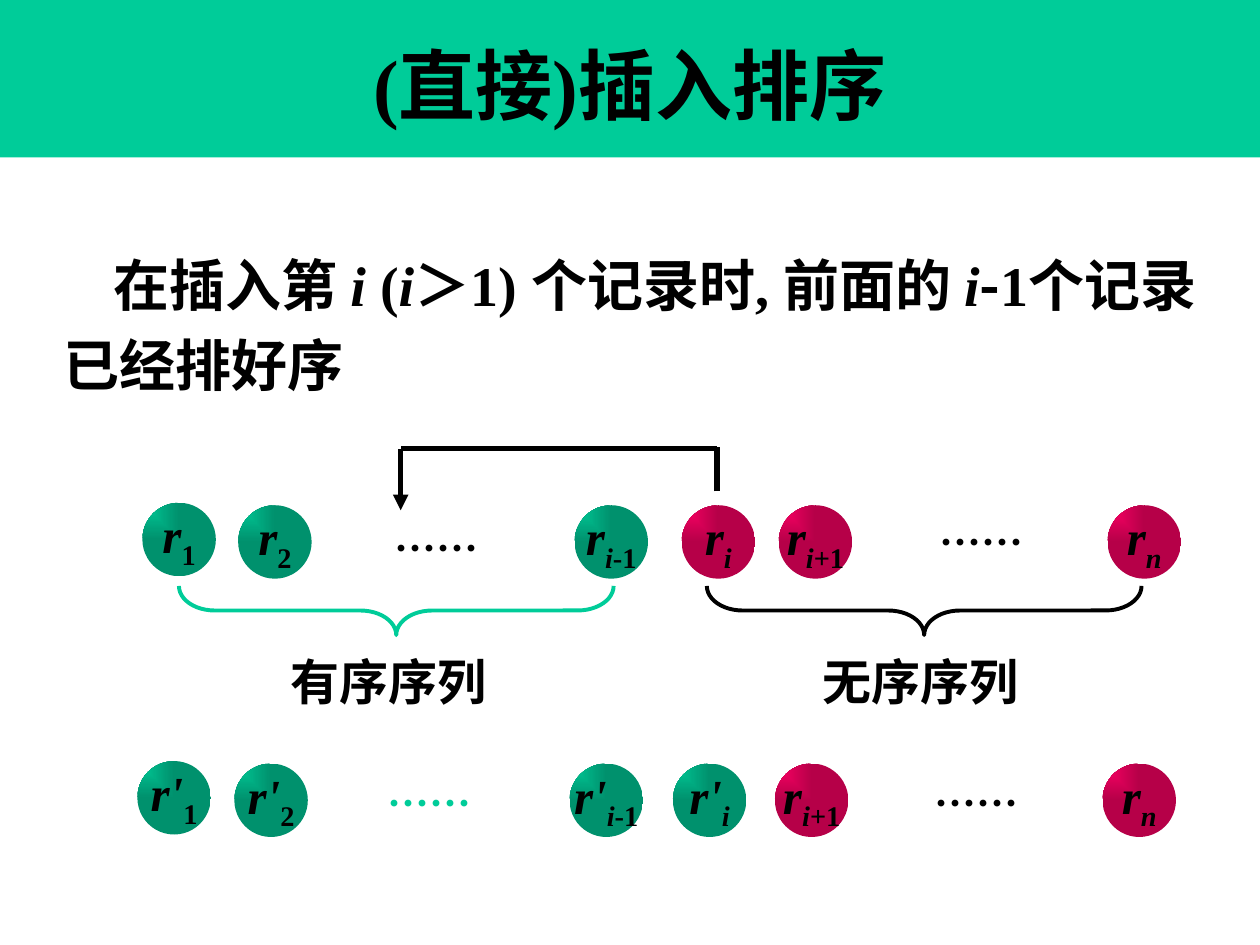
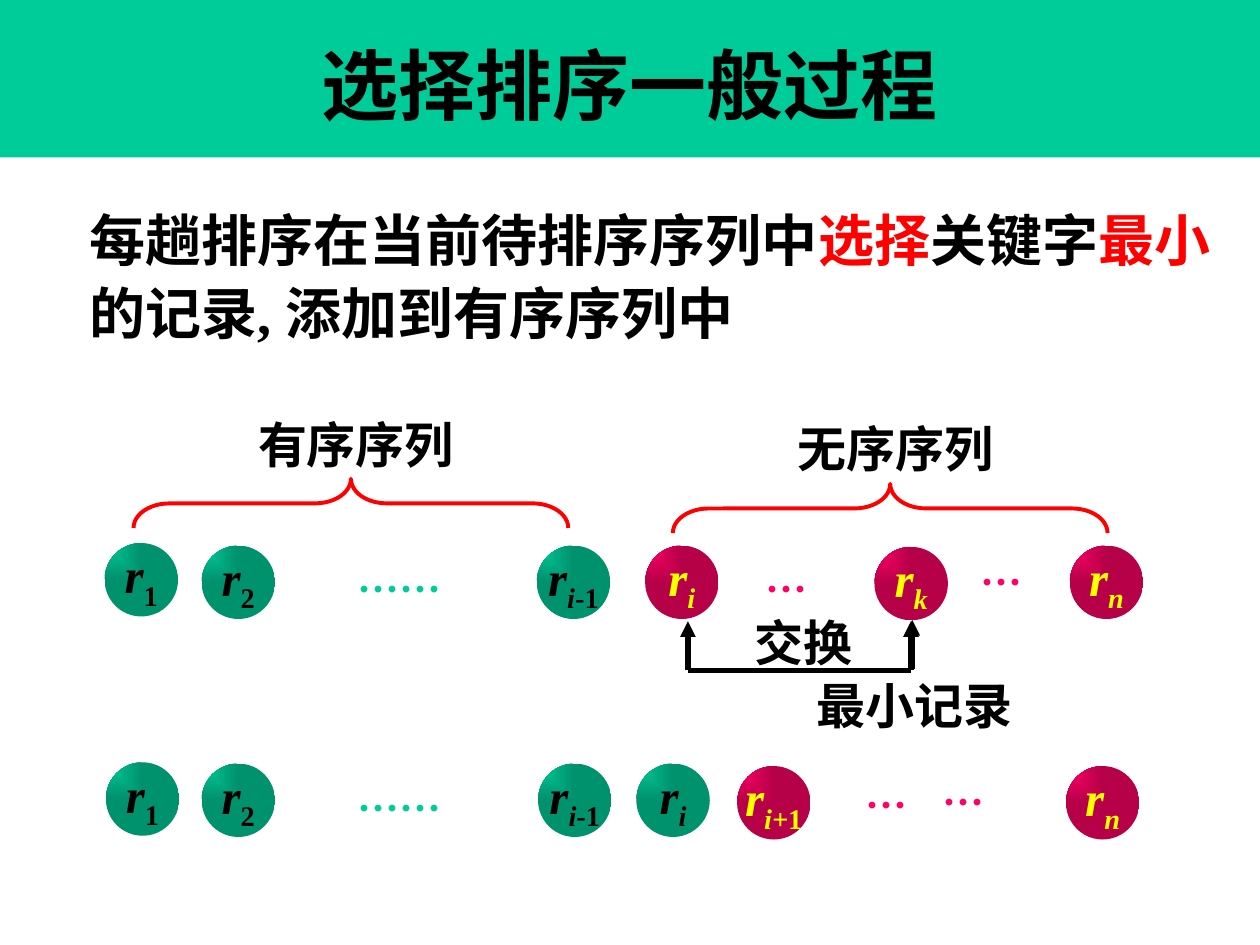
from lxml import etree
from pptx import Presentation, util as u
from pptx.dml.color import RGBColor
from pptx.enum import shapes as sh, text as tx
from pptx.oxml import parse_xml
from pptx.oxml.ns import nsdecls, qn

# Shared colours, fonts and grid: 100 columns by 75 rows
GREEN, PINK, RED, GOLD, BLACK = "00CC99", "FF0066", "FF0000", "FFFF00", "000000"
SERIF, SANS, HAN = "Times New Roman", "Arial", "Noto Sans CJK SC"
BALL, SUB = 5.83, "-25000"

deck = Presentation()
deck.slide_width, deck.slide_height = u.Inches(10), u.Inches(7.5)
col, row = deck.slide_width / 100, deck.slide_height / 75
hue = RGBColor.from_string


def grid(x, y, w, h):
    return [int(v * step) for v, step in zip((x, y, w, h), (col, row, col, row))]


def write(shape, runs, size, lead, face=SERIF, **form):
    """Fill a shape with one paragraph; a run is (text, changes)."""
    frame = shape.text_frame
    base = {"wrap": True, "anchor": tx.MSO_ANCHOR.TOP, "align": tx.PP_ALIGN.LEFT} | form
    frame.auto_size = tx.MSO_AUTO_SIZE.NONE
    frame.word_wrap, frame.vertical_anchor = base["wrap"], base["anchor"]
    para = frame.paragraphs[0]
    for key, val in {"alignment": base["align"], "line_spacing": lead,
                     "space_before": u.Pt(0)}.items():
        setattr(para, key, val)
    for words, diff in runs:
        run = para.add_run()
        run.text = words
        look = {"name": face, "size": u.Pt(size), "bold": True, "italic": False} | diff
        tint, drop = look.pop("tint", BLACK), look.pop("drop", None)
        for key, val in look.items():
            setattr(run.font, key, val)
        run.font.color.rgb = hue(tint)
        props = run._r.get_or_add_rPr()
        etree.SubElement(props, qn("a:ea")).set("typeface", HAN)
        if drop:
            props.set("baseline", drop)
    return para


ital, red = {"italic": True}, {"tint": RED}
first = {
    "title": "(直接)插入排序",
    "body": [("在插入第 ", {}), ("i ", ital), ("(", {}), ("i", ital),
             ("＞1) 个记录时, 前面的 ", {}), ("i", ital), ("-", {"name": HAN}),
             ("1个记录已经排好序", {})],
    "place": (4, 18.3, 92, 13.9), "lead": 46, "left": 0, "indent": 4,
    # Braces: left, top, turn, colour
    "braces": [(29.5, 31.2, 270, GREEN), (71.4, 31.2, 270, BLACK)],
    # Labels: text, left, top, width
    "labels": [("有序序列", 22.1, 50.9, 21.7), ("无序序列", 64.3, 50.9, 21.7)],
    # Lines: from, to, arrow
    "lines": [(56.9, 39, 56.9, 35.5, False), (56.9, 35.6, 31.8, 35.6, False),
              (31.8, 35.6, 31.8, 40.5, True)],
    # Balls: left, top, letter, index (slanted|upright), fill
    "balls": [(11.3, 39.9, "r", "|1", GREEN), (18.9, 40.1, "r", "|2", GREEN),
              (45.6, 40.1, "r", "i|-1", GREEN), (54.1, 40.1, "r", "i", PINK),
              (61.8, 40.1, "r", "i+|1", PINK), (87.9, 40.1, "r", "n", PINK),
              (10.9, 60.4, "r'", "|1", GREEN), (18.6, 60.6, "r'", "|2", GREEN),
              (45.2, 60.6, "r'", "i|-1", GREEN), (53.4, 60.6, "r'", "i", GREEN),
              (61.5, 60.6, "r", "i+|1", PINK), (87.5, 60.6, "r", "n", PINK)],
    "ink": BLACK,
    # Dots: text, left, top, colour
    "dots": [("……", 30.3, 40.7, BLACK), ("……", 73.6, 40.2, BLACK),
             ("……", 29.8, 60.9, GREEN), ("……", 73.2, 60.9, BLACK)],
}
second = {
    "title": "选择排序一般过程",
    "body": [("每趟排序在当前待排序序列中", {}), ("选择", red), ("关键字", {}),
             ("最小", red), ("的记录, 添加到有序序列中", {})],
    "place": (2.1, 15.3, 95.8, 12.9), "lead": 42, "left": 4, "indent": 0,
    "braces": [(25.9, 22.7, 90, RED), (68.7, 23.1, 90, RED)],
    "labels": [("有序序列", 19.5, 32.1, 21.7), ("无序序列", 62.3, 32.4, 21.7),
               ("交换", 58.9, 47.8, 9.8), ("最小记录", 63.8, 52.8, 17.7)],
    "lines": [(54.6, 53.2, 72.3, 53.2, False), (72.3, 53.2, 72.3, 49.3, True),
              (54.6, 53.2, 54.6, 49.3, True), (72.4, 53.1, 72.4, 49.2, True)],
    "balls": [(8.3, 43.1, "r", "|1", GREEN), (16, 43.3, "r", "|2", GREEN),
              (42.6, 43.3, "r", "i|-1", GREEN), (51.2, 43.3, "r", "i", PINK),
              (69.4, 43.4, "r", "k", PINK), (84.9, 43.3, "r", "n", PINK),
              (8.4, 60.5, "r", "|1", GREEN), (16, 60.6, "r", "|2", GREEN),
              (42.7, 60.6, "r", "i|-1", GREEN), (50.5, 60.6, "r", "i", GREEN),
              (58.5, 60.8, "r", "i+|1", PINK), (84.6, 60.8, "r", "n", PINK)],
    "ink": GOLD,
    "dots": [("……", 27.4, 43.9, GREEN), ("…", 76.8, 43.4, PINK), ("…", 59.8, 43.9, PINK),
             ("……", 27.4, 61.3, GREEN), ("…", 73.8, 60.8, PINK), ("…", 67.7, 61.1, PINK)],
}

mid = {"anchor": tx.MSO_ANCHOR.MIDDLE, "align": tx.PP_ALIGN.CENTER}
for plan in (first, second):
    slide = deck.slides.add_slide(deck.slide_layouts[1])
    pool = slide.shapes

    # Title band and body text
    band, body = pool.title, slide.placeholders[1]
    for shape, place in ((band, (0, 0, 100, 12.5)), (body, plan["place"])):
        shape.left, shape.top, shape.width, shape.height = grid(*place)
    band.fill.solid()
    band.fill.fore_color.rgb = hue(GREEN)
    write(band, [(plan["title"], {})], 44, u.Pt(59), **mid)
    para = write(body, plan["body"], 32, u.Pt(plan["lead"]))
    props = para._p.get_or_add_pPr()
    props.set("marL", str(int(plan["left"] * col)))
    props.set("indent", str(int(plan["indent"] * col)))
    etree.SubElement(props, qn("a:buNone"))

    # Braces
    for x, y, turn, tint in plan["braces"]:
        brace = pool.add_shape(sh.MSO_SHAPE.LEFT_BRACE, *grid(x, y, 3.9, 34.5))
        brace.adjustments[0], brace.adjustments[1] = 0.73, 0.5
        brace.rotation, brace.shadow.inherit = turn, False
        brace.fill.background()
        brace.line.color.rgb, brace.line.width = hue(tint), u.Pt(2.25)

    # Lines and arrows
    for *ends, arrow in plan["lines"]:
        line = pool.add_connector(sh.MSO_CONNECTOR.STRAIGHT, *grid(*ends))
        line.line.color.rgb, line.line.width = hue(BLACK), u.Pt(3)
        if arrow:
            etree.SubElement(line.line._get_or_add_ln(), qn("a:tailEnd")).set("type", "triangle")
        etree.SubElement(line._element.spPr, qn("a:effectLst"))

    # Record balls, shaded from the top left
    for x, y, name, index, tint in plan["balls"]:
        ball = pool.add_shape(sh.MSO_SHAPE.OVAL, *grid(x, y, BALL, BALL))
        ball.shadow.inherit = False
        ball.line.fill.background()
        ball._element.spPr.find(qn("a:prstGeom")).addnext(parse_xml(
            f'<a:gradFill {nsdecls("a")} rotWithShape="0"><a:gsLst>'
            f'<a:gs pos="0"><a:srgbClr val="{tint}"/></a:gs>'
            f'<a:gs pos="100000"><a:srgbClr val="{tint}"><a:shade val="46275"/></a:srgbClr></a:gs>'
            '</a:gsLst><a:path path="rect"><a:fillToRect r="100000" b="100000"/></a:path>'
            '</a:gradFill>'))
        for side in ("left", "top", "right", "bottom"):
            setattr(ball.text_frame, f"margin_{side}", 0)
        ink = {"tint": plan["ink"] if tint == PINK else BLACK}
        slant, _, plain = index.partition("|")
        runs = [(name, ink | ital), (slant, ink | ital | {"drop": SUB}),
                (plain, ink | {"drop": SUB})]
        write(ball, [run for run in runs if run[0]], 28, 0.7, wrap=False, **mid)

    # Labels and dots
    for words, x, y, wide in plan["labels"]:
        write(pool.add_textbox(*grid(x, y, wide, 5.7)), [(words, {})], 28, u.Pt(36), SANS)
    for words, x, y, tint in plan["dots"]:
        box = pool.add_textbox(*grid(x, y, 10.1 if len(words) > 1 else 6.4, 5))
        write(box, [(words, {"tint": tint})], 24, u.Pt(31), HAN)

deck.save("out.pptx")
